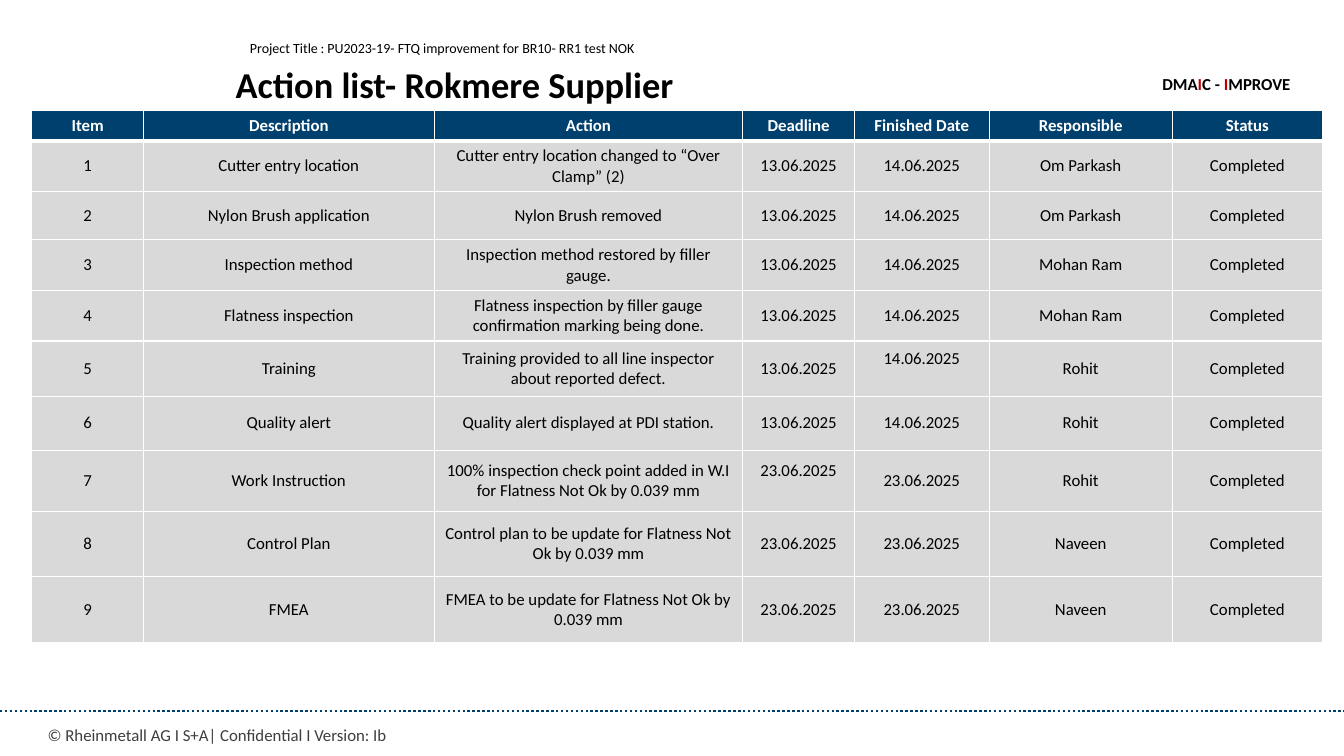
from pptx import Presentation
from pptx.dml.color import RGBColor
from pptx.enum.dml import MSO_LINE
from pptx.enum.shapes import MSO_CONNECTOR
from pptx.enum.text import MSO_ANCHOR as Anchor, PP_ALIGN as Align
from pptx.oxml.ns import qn
from pptx.util import Cm, Pt
from lxml.etree import SubElement

NAVY = RGBColor(0x00, 0x40, 0x6E)
GREY = RGBColor(0xD9, 0xD9, 0xD9)
DARK_GREY = RGBColor(0x3E, 0x3D, 0x40)
RED = RGBColor(0xC0, 0x00, 0x00)
BLACK = RGBColor(0x00, 0x00, 0x00)
WHITE = RGBColor(0xFF, 0xFF, 0xFF)

FONT = "Calibri"
SIDE_MARGIN, TOP_MARGIN = 0.25, 0.13
LINE_HEIGHT = 0.51

COLUMN_WIDTHS = [2.82, 7.32, 7.78, 2.81, 3.4, 4.61, 3.79]
ROW_HEIGHTS = [0.73, 1.26, 1.21, 1.26, 1.28, 1.39, 1.36, 1.54, 1.65, 1.66]
HEADINGS = ["Item", "Description", "Action", "Deadline", "Finished Date",
            "Responsible", "Status"]
JUNE_13, JUNE_14, JUNE_23 = "13.06.2025", "14.06.2025", "23.06.2025"
ACTIONS = [
    ("Cutter entry location", "Cutter entry location changed to “Over Clamp” (2)",
     JUNE_13, JUNE_14, "Om Parkash"),
    ("Nylon Brush application", "Nylon Brush removed",
     JUNE_13, JUNE_14, "Om Parkash"),
    ("Inspection method", "Inspection method restored by filler gauge.",
     JUNE_13, JUNE_14, "Mohan Ram"),
    ("Flatness inspection",
     "Flatness inspection by filler gauge confirmation marking being done.",
     JUNE_13, JUNE_14, "Mohan Ram"),
    ("Training", "Training provided to all line inspector about reported defect.",
     JUNE_13, JUNE_14, "Rohit"),
    ("Quality alert", "Quality alert displayed at PDI station.",
     JUNE_13, JUNE_14, "Rohit"),
    ("Work Instruction",
     "100% inspection check point added in W.I for Flatness Not Ok by 0.039 mm",
     JUNE_23, JUNE_23, "Rohit"),
    ("Control Plan", "Control plan to be update for Flatness Not Ok by 0.039 mm",
     JUNE_23, JUNE_23, "Naveen"),
    ("FMEA", "FMEA to be update for Flatness Not Ok by 0.039 mm",
     JUNE_23, JUNE_23, "Naveen"),
]
# Dates that sit half a line above the middle, as (row, column)
RAISED_DATES = {(5, 4), (7, 3)}


def add_run(paragraph, text, size, color, bold=False):
    run = paragraph.add_run()
    run.text = text
    run.font.name = FONT
    run.font.size = Pt(size)
    run.font.bold = bold
    run.font.color.rgb = color


def add_text(slide, left, top, width, height, runs, size, bold=False, align=Align.LEFT):
    """Add a text box without insets; runs are (text, color) pairs."""
    box = slide.shapes.add_textbox(Cm(left), Cm(top), Cm(width), Cm(height))
    frame = box.text_frame
    frame.word_wrap = True
    frame.vertical_anchor = Anchor.MIDDLE
    frame.margin_left = frame.margin_right = 0
    frame.margin_top = frame.margin_bottom = 0
    paragraph = frame.paragraphs[0]
    paragraph.alignment = align
    for text, color in runs:
        add_run(paragraph, text, size, color, bold)


def add_dotted_line(slide, top):
    line = slide.shapes.add_connector(
        MSO_CONNECTOR.STRAIGHT, 0, Cm(top), Cm(33.87), Cm(top))
    line.line.color.rgb = NAVY
    line.line.width = Pt(1.75)
    line.line.dash_style = MSO_LINE.ROUND_DOT
    SubElement(line._element.spPr, qn("a:effectLst"))


def set_borders(cell, top, bottom):
    properties = cell._tc.get_or_add_tcPr()
    for side, points in (("L", 1), ("R", 1), ("T", top), ("B", bottom)):
        border = SubElement(properties, qn(f"a:ln{side}"), w=str(Pt(points)))
        fill = SubElement(border, qn("a:solidFill"))
        SubElement(fill, qn("a:srgbClr"), val=str(WHITE))


def fill_cell(cell, row, column, text):
    is_heading = row == 0
    set_borders(cell, top=3 if row == 1 else 1, bottom=3 if is_heading else 1)
    cell.fill.solid()
    cell.fill.fore_color.rgb = NAVY if is_heading else GREY
    cell.vertical_anchor = Anchor.MIDDLE
    cell.margin_left = cell.margin_right = Cm(SIDE_MARGIN)
    cell.margin_top = Cm(TOP_MARGIN)
    raised = (row, column) in RAISED_DATES
    cell.margin_bottom = Cm(TOP_MARGIN + (LINE_HEIGHT if raised else 0))
    paragraph = cell.text_frame.paragraphs[0]
    paragraph.alignment = Align.CENTER
    add_run(paragraph, text, 12, WHITE if is_heading else BLACK, is_heading)


def add_action_table(slide, left, top):
    rows = [HEADINGS]
    for number, action in enumerate(ACTIONS, start=1):
        rows.append([str(number), *action, "Completed"])
    frame = slide.shapes.add_table(
        len(rows), len(HEADINGS), Cm(left), Cm(top),
        Cm(sum(COLUMN_WIDTHS)), Cm(sum(ROW_HEIGHTS)))
    table = frame.table
    table.horz_banding = False
    for column, width in zip(table.columns, COLUMN_WIDTHS):
        column.width = Cm(width)
    for row, height in zip(table.rows, ROW_HEIGHTS):
        row.height = Cm(height)
    for row, texts in enumerate(rows):
        for column, text in enumerate(texts):
            fill_cell(table.cell(row, column), row, column, text)


def main():
    presentation = Presentation()
    presentation.slide_width = Cm(33.87)
    presentation.slide_height = Cm(19.05)
    slide = presentation.slides.add_slide(presentation.slide_layouts[6])

    # Footer
    add_dotted_line(slide, 17.91)
    add_text(slide, 1.2, 18.26, 12.34, 0.5,
             [("© Rheinmetall AG I S+A| Confidential I Version: Ib", DARK_GREY)], 12)

    # Heading
    add_text(slide, 6.3, 0.98, 1.8, 0.45, [("Project Title", BLACK)], 10)
    add_text(slide, 8.08, 0.98, 9, 0.45,
             [(": PU2023-19- FTQ improvement for BR10- RR1 test NOK", BLACK)], 10)
    add_text(slide, 5.94, 1.5, 16.3, 1.25,
             [("Action list- Rokmere Supplier", BLACK)], 26, bold=True)
    add_text(slide, 28.55, 1.75, 3.97, 0.7,
             [("DMA", BLACK), ("I", RED), ("C - ", BLACK), ("I", RED), ("MPROVE", BLACK)],
             12, bold=True, align=Align.RIGHT)

    # Actions
    add_action_table(slide, 0.8, 2.78)

    presentation.save("out.pptx")


if __name__ == "__main__":
    main()
